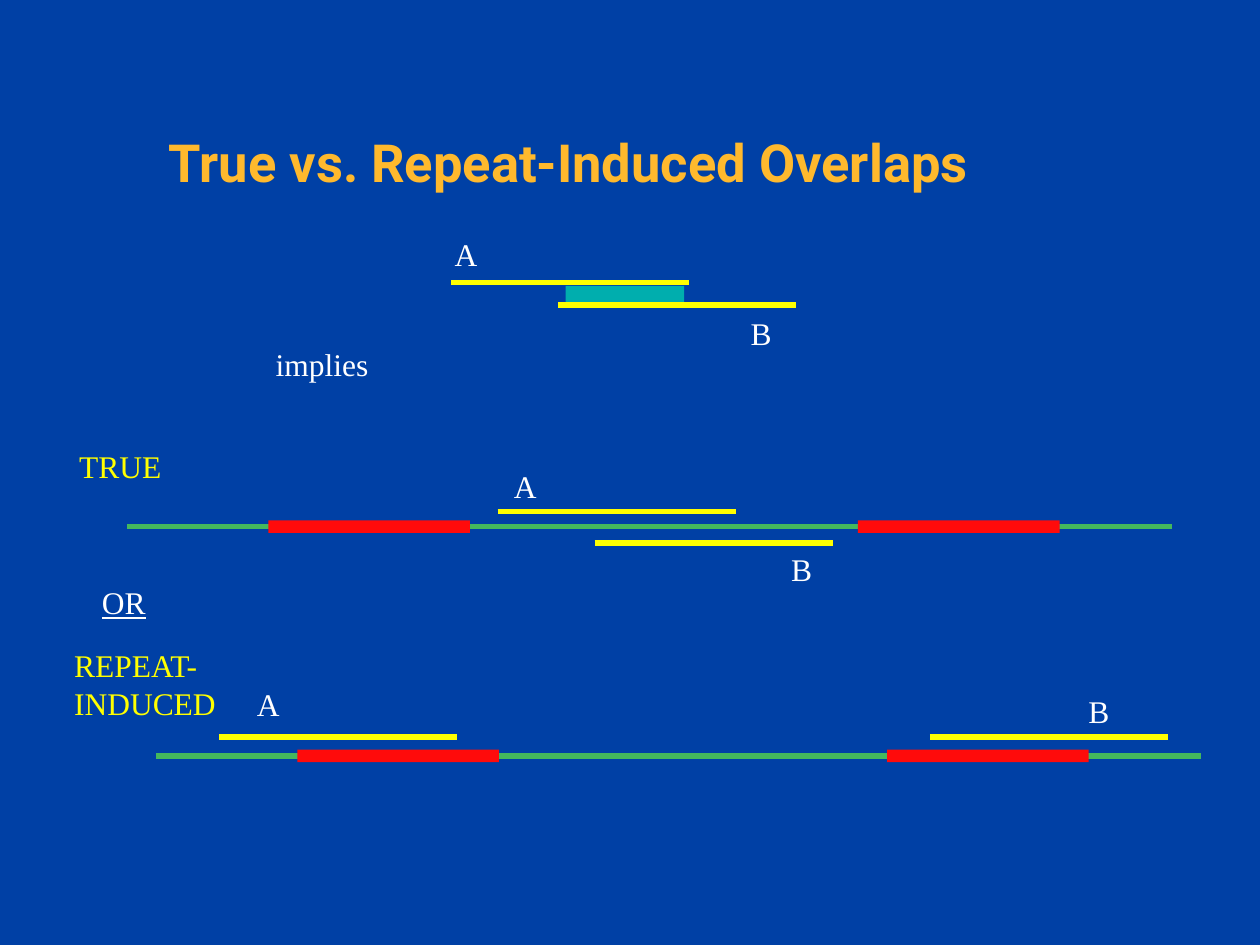
from lxml import etree
from pptx import Presentation
from pptx.dml.color import RGBColor
from pptx.enum.shapes import MSO_CONNECTOR, MSO_SHAPE
from pptx.enum.text import MSO_ANCHOR, MSO_AUTO_SIZE, PP_ALIGN
from pptx.oxml.ns import qn
from pptx.util import Inches, Pt

COLORS = {
    "background": "0040A5",
    "title": "FFB92D",
    "label": "FFFFFF",
    "read": "FFFF00",
    "overlap": "00AEAE",
    "genome": "44B85D",
    "repeat": "FF0B0B",
}
READ_LENGTH = 1.89
GENOME_LENGTH = 8.29
REPEAT_LENGTH, REPEAT_HEIGHT = 1.6, 0.1
REPEAT_OFFSETS = (1.12, 5.8)


def rgb(name):
    return RGBColor.from_string(COLORS[name])


def style_text(frame, font_name, size, color, bold=False, underline=False):
    for paragraph in frame.paragraphs:
        paragraph.alignment = PP_ALIGN.LEFT
        for run in paragraph.runs:
            run.font.name = font_name
            run.font.size = Pt(size)
            run.font.color.rgb = rgb(color)
            run.font.bold = bold
            run.font.underline = underline


def add_label(shapes, text, left, top, width=0.45, height=0.4, color="label", underline=False):
    label = shapes.add_textbox(Inches(left), Inches(top), Inches(width), Inches(height))
    frame = label.text_frame
    frame.word_wrap = True
    frame.auto_size = MSO_AUTO_SIZE.SHAPE_TO_FIT_TEXT
    frame.text = text
    style_text(frame, "Times New Roman", 18, color, underline=underline)


def add_strand(shapes, left, y, length, color):
    """Draw a horizontal sequence line."""
    strand = shapes.add_connector(
        MSO_CONNECTOR.STRAIGHT, Inches(left), Inches(y), Inches(left + length), Inches(y))
    strand.line.color.rgb = rgb(color)
    strand.line.width = Pt(3)
    etree.SubElement(strand._element.spPr, qn("a:effectLst"))


def add_block(shapes, left, top, width, height, color):
    block = shapes.add_shape(
        MSO_SHAPE.RECTANGLE, Inches(left), Inches(top), Inches(width), Inches(height))
    block.shadow.inherit = False
    block.fill.solid()
    block.fill.fore_color.rgb = rgb(color)
    block.line.fill.background()


def add_genome(shapes, left, y):
    """Draw a genome line carrying two copies of a repeat."""
    add_strand(shapes, left, y, GENOME_LENGTH, "genome")
    for offset in REPEAT_OFFSETS:
        add_block(shapes, left + offset, y - REPEAT_HEIGHT / 2,
                  REPEAT_LENGTH, REPEAT_HEIGHT, "repeat")


def add_title(slide, left, top, width, height):
    title = slide.shapes.title
    title.left, title.top = Inches(left), Inches(top)
    title.width, title.height = Inches(width), Inches(height)
    frame = title.text_frame
    frame.vertical_anchor = MSO_ANCHOR.TOP
    frame.text = "True vs. Repeat-Induced Overlaps"
    style_text(frame, "Roboto", 30, "title", bold=True)


def add_observed_overlap(slide, left, top):
    overlap = slide.shapes.add_group_shape().shapes
    add_block(overlap, left + 2.4, top + 0.45, 0.94, 0.17, "overlap")
    add_strand(overlap, left + 1.49, top + 0.42, READ_LENGTH, "read")
    add_strand(overlap, left + 2.34, top + 0.6, READ_LENGTH, "read")
    add_label(slide.shapes, "implies", left, top + 0.87, 1.46)
    add_label(slide.shapes, "A", left + 1.42, top)
    add_label(slide.shapes, "B", left + 3.77, top + 0.62)


def add_true_case(slide, left, top):
    case = slide.shapes.add_group_shape().shapes
    add_strand(case, left + 3.42, top + 0.56, READ_LENGTH, "read")
    add_strand(case, left + 4.19, top + 0.81, READ_LENGTH, "read")
    add_genome(case, left + 0.48, top + 0.68)
    add_label(case, "A", left + 3.45, top + 0.16)
    add_label(case, "B", left + 5.65, top + 0.82)
    add_label(case, "TRUE", left, top, 1.46, color="read")


def add_repeat_case(slide, left, top):
    case = slide.shapes.add_group_shape().shapes
    add_label(case, "OR", left + 0.22, top, 1.46, underline=True)
    add_label(case, "A", left + 1.45, top + 0.81)
    add_label(case, "B", left + 8.05, top + 0.86)
    for offset in (1.25, 6.89):
        add_strand(case, left + offset, top + 1.27, READ_LENGTH, "read")
    add_genome(case, left + 0.75, top + 1.42)
    add_label(case, "REPEAT-INDUCED", left, top + 0.5, 1.46, 0.7, color="read")


def main():
    deck = Presentation()
    deck.slide_width, deck.slide_height = Inches(10), Inches(7.5)
    slide = deck.slides.add_slide(deck.slide_layouts[5])
    slide.background.fill.solid()
    slide.background.fill.fore_color.rgb = rgb("background")
    add_title(slide, 1.24, 0.98, 8.5, 0.86)
    add_observed_overlap(slide, 2.09, 1.82)
    add_true_case(slide, 0.53, 3.5)
    add_repeat_case(slide, 0.49, 4.58)
    deck.save("out.pptx")


if __name__ == "__main__":
    main()
